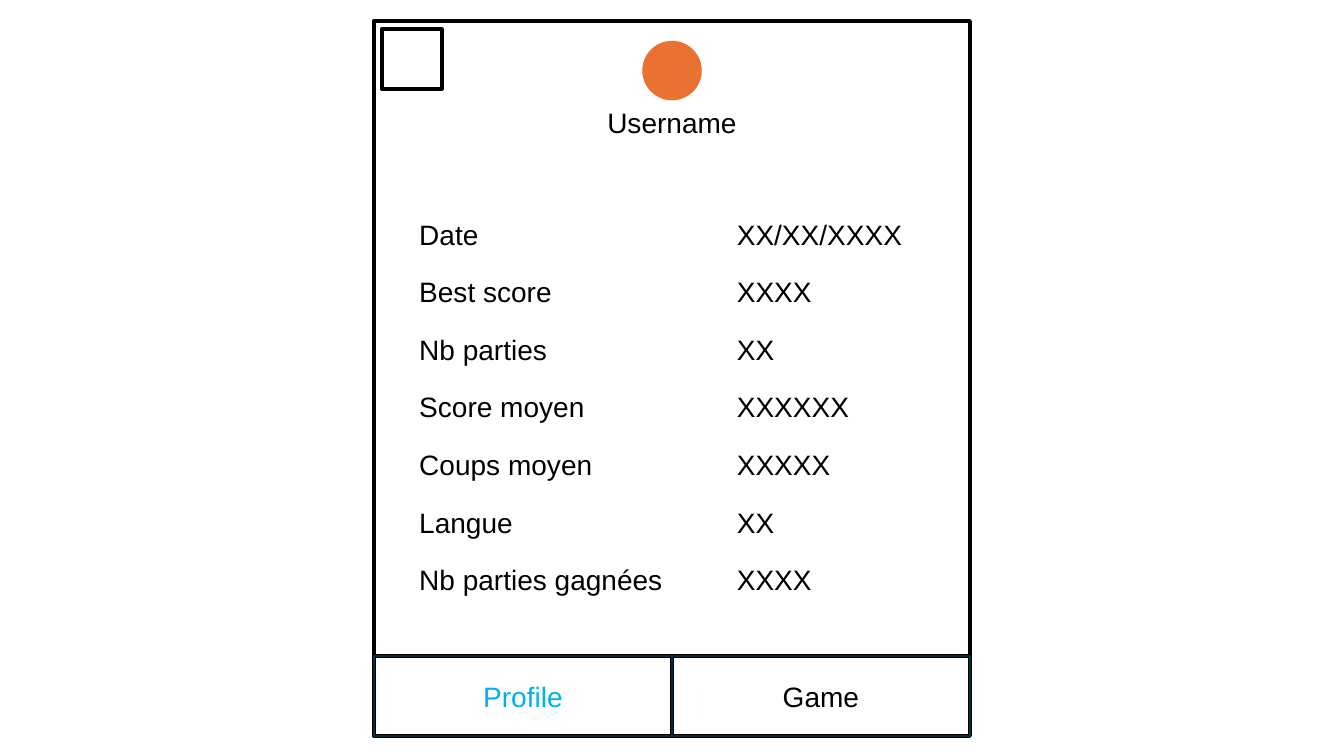
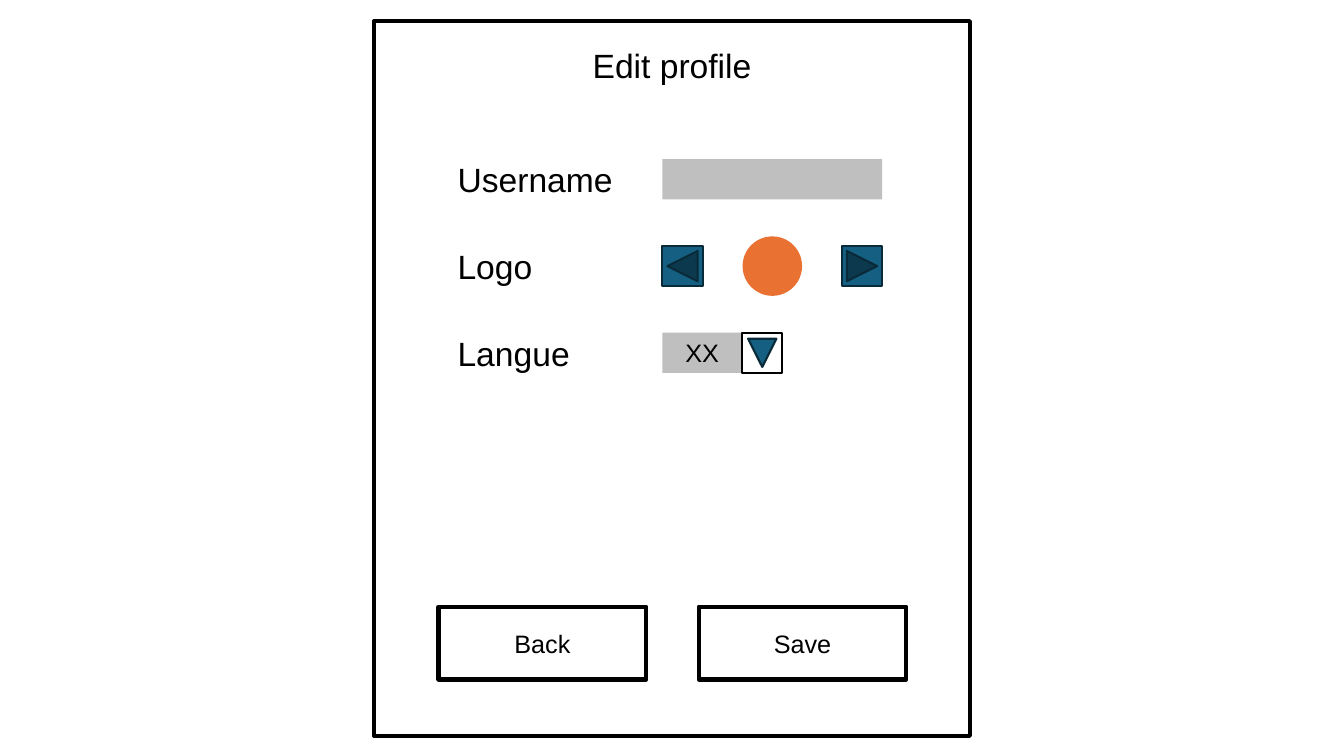
from dataclasses import dataclass

from lxml import etree
from pptx import Presentation
from pptx.dml.color import RGBColor
from pptx.enum.shapes import MSO_CONNECTOR, MSO_SHAPE
from pptx.enum.text import MSO_ANCHOR, MSO_AUTO_SIZE, PP_ALIGN
from pptx.oxml.ns import qn
from pptx.util import Inches, Pt

RECT = MSO_SHAPE.RECTANGLE
OVAL = MSO_SHAPE.OVAL
TRIANGLE = MSO_SHAPE.ISOSCELES_TRIANGLE
BUTTON = MSO_SHAPE.ACTION_BUTTON_CUSTOM
PREVIOUS = MSO_SHAPE.ACTION_BUTTON_BACK_OR_PREVIOUS
NEXT = MSO_SHAPE.ACTION_BUTTON_FORWARD_OR_NEXT
STRAIGHT = MSO_CONNECTOR.STRAIGHT
CENTER, LEFT = PP_ALIGN.CENTER, PP_ALIGN.LEFT
MIDDLE = MSO_ANCHOR.MIDDLE
NO_AUTOFIT = MSO_AUTO_SIZE.NONE
TITLE_ONLY = 5


@dataclass(frozen=True)
class Theme:
    font: str = "Arial"
    ink: str = "000000"
    active: str = "00B0F0"
    avatar: str = "E97132"
    field: str = "BFBFBF"
    control: str = "156082"
    edge: str = "092A39"
    small: int = 18
    body: int = 20
    large: int = 24
    thick: float = 3
    thin: float = 1.5


THEME = Theme()
FRAME_X, FRAME_Y, FRAME_W, FRAME_H = 3.71, 0.21, 5.91, 7.09
CENTER_X = FRAME_X + FRAME_W / 2
AVATAR = 0.59


class Wireframe:
    def __init__(self, prs, theme):
        self.prs = prs
        self.theme = theme
        self.s = None

    def new_slide(self, title, y, h, size):
        self.s = self.prs.slides.add_slide(self.prs.slide_layouts[TITLE_ONLY])
        sp = self.s.shapes.title
        w = 4
        sp.left, sp.top = Inches(CENTER_X - w / 2), Inches(y)
        sp.width, sp.height = Inches(w), Inches(h)
        self.set_text(sp, title, size, CENTER)
        return self.shape(RECT, FRAME_X, FRAME_Y, FRAME_W, FRAME_H,
                          line=self.theme.ink, weight=self.theme.thick)

    def set_text(self, sp, text, size, align, color=None):
        tf = sp.text_frame
        tf.text = text
        tf.word_wrap = True
        tf.auto_size = NO_AUTOFIT
        tf.vertical_anchor = MIDDLE
        p = tf.paragraphs[0]
        p.alignment = align
        font = p.runs[0].font
        font.name = self.theme.font
        font.size = Pt(size)
        font.color.rgb = RGBColor.from_string(color or self.theme.ink)

    def shape(self, kind, x, y, w, h, fill=None, line=None, weight=THEME.thin):
        sp = self.s.shapes.add_shape(kind, Inches(x), Inches(y), Inches(w), Inches(h))
        sp.shadow.inherit = False
        if fill:
            sp.fill.solid()
            sp.fill.fore_color.rgb = RGBColor.from_string(fill)
        else:
            sp.fill.background()
        if line:
            sp.line.color.rgb = RGBColor.from_string(line)
            sp.line.width = Pt(weight)
        else:
            sp.line.fill.background()
        return sp

    def label(self, text, x, y, w, h, size):
        sp = self.s.shapes.add_textbox(Inches(x), Inches(y), Inches(w), Inches(h))
        self.set_text(sp, text, size, LEFT)

    def button(self, text, x, y, w, h, size, line, weight, color=None):
        sp = self.shape(BUTTON, x, y, w, h, line=line, weight=weight)
        self.set_text(sp, text, size, CENTER, color)

    def avatar(self, center_x, center_y):
        self.shape(OVAL, center_x - AVATAR / 2, center_y - AVATAR / 2,
                   AVATAR, AVATAR, fill=self.theme.avatar)

    def line(self, x1, y1, x2, y2):
        cx = self.s.shapes.add_connector(STRAIGHT, Inches(x1), Inches(y1),
                                         Inches(x2), Inches(y2))
        cx.line.color.rgb = RGBColor.from_string(self.theme.ink)
        cx.line.width = Pt(self.theme.thick)
        etree.SubElement(cx.element.spPr, qn("a:effectLst"))
        return cx


def profile_slide(wf):
    t = wf.theme
    frame = wf.new_slide("Username", 0.99, 0.44, t.body)
    tab_y, tab_w, tab_h = 6.51, FRAME_W / 2, 0.79
    wf.line(FRAME_X, tab_y, FRAME_X + FRAME_W, tab_y)
    divider = wf.line(CENTER_X, FRAME_Y + FRAME_H, CENTER_X, tab_y)
    divider.begin_connect(frame, 2)
    for i, (text, color) in enumerate([("Profile", t.active), ("Game", t.ink)]):
        wf.button(text, FRAME_X + i * tab_w, tab_y, tab_w, tab_h,
                  t.body, t.edge, t.thin, color)
    wf.avatar(CENTER_X, 0.7)

    stats = [
        ("Date", "XX/XX/XXXX"),
        ("Best score", "XXXX"),
        ("Nb parties", "XX"),
        ("Score moyen", "XXXXXX"),
        ("Coups moyen", "XXXXX"),
        ("Langue", "XX"),
        ("Nb parties gagnées", "XXXX"),
    ]
    first_y, last_y = 2.1, 5.53
    row_step = (last_y - first_y) / (len(stats) - 1)
    for i, (name, value) in enumerate(stats):
        y = first_y + i * row_step
        wf.label(name, 4.06, y, 3, 0.44, t.body)
        wf.label(value, 7.21, y, 2.3, 0.44, t.body)
    wf.shape(BUTTON, 3.79, 0.29, 0.59, 0.59, line=t.ink, weight=t.thick)


def edit_slide(wf):
    t = wf.theme
    wf.new_slide("Edit profile", 0.4, 0.5, t.large)
    first_y, row_step, label_h = 1.78, 0.86, 0.5
    rows = [first_y + i * row_step for i in range(3)]
    for text, y in zip(("Username", "Logo", "Langue"), rows):
        wf.label(text, 4.44, y - label_h / 2, 2.1, label_h, t.large)
    username_y, logo_y, language_y = rows

    field_x, field_w, box = 6.57, 2.18, 0.4
    wf.shape(RECT, field_x, username_y - box / 2, field_w, box, fill=t.field)

    for kind, x in ((PREVIOUS, field_x), (NEXT, field_x + field_w - box)):
        wf.shape(kind, x, logo_y - box / 2, box, box, fill=t.control, line=t.edge)
    wf.avatar(field_x + field_w / 2, logo_y)

    language_w, arrow = 0.79, 0.28
    drop_x = field_x + language_w
    sp = wf.shape(RECT, field_x, language_y - box / 2, language_w, box, fill=t.field)
    wf.set_text(sp, "XX", t.small, CENTER)
    wf.shape(RECT, drop_x, language_y - box / 2, box, box, line=t.ink)
    sp = wf.shape(TRIANGLE, drop_x + (box - arrow) / 2, language_y - arrow / 2,
                  arrow, arrow, fill=t.control, line=t.edge)
    sp.rotation = 180

    for text, x in (("Back", 4.35), ("Save", 6.93)):
        wf.button(text, x, 6.02, 2.06, 0.72, t.small, t.ink, t.thick)


def main():
    prs = Presentation()
    prs.slide_width, prs.slide_height = Inches(13.33), Inches(7.5)
    wf = Wireframe(prs, THEME)
    profile_slide(wf)
    edit_slide(wf)
    prs.save("out.pptx")


if __name__ == "__main__":
    main()
